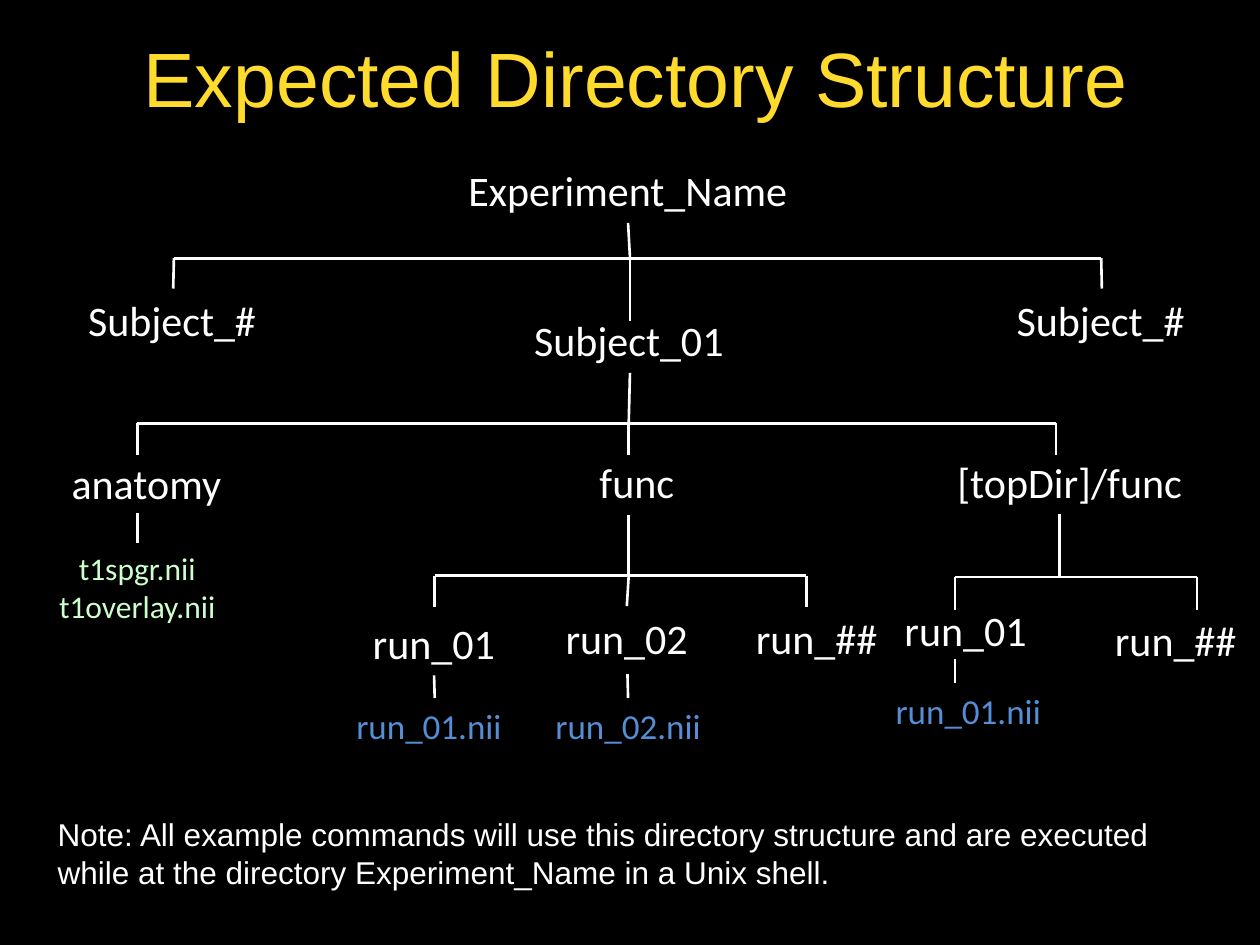
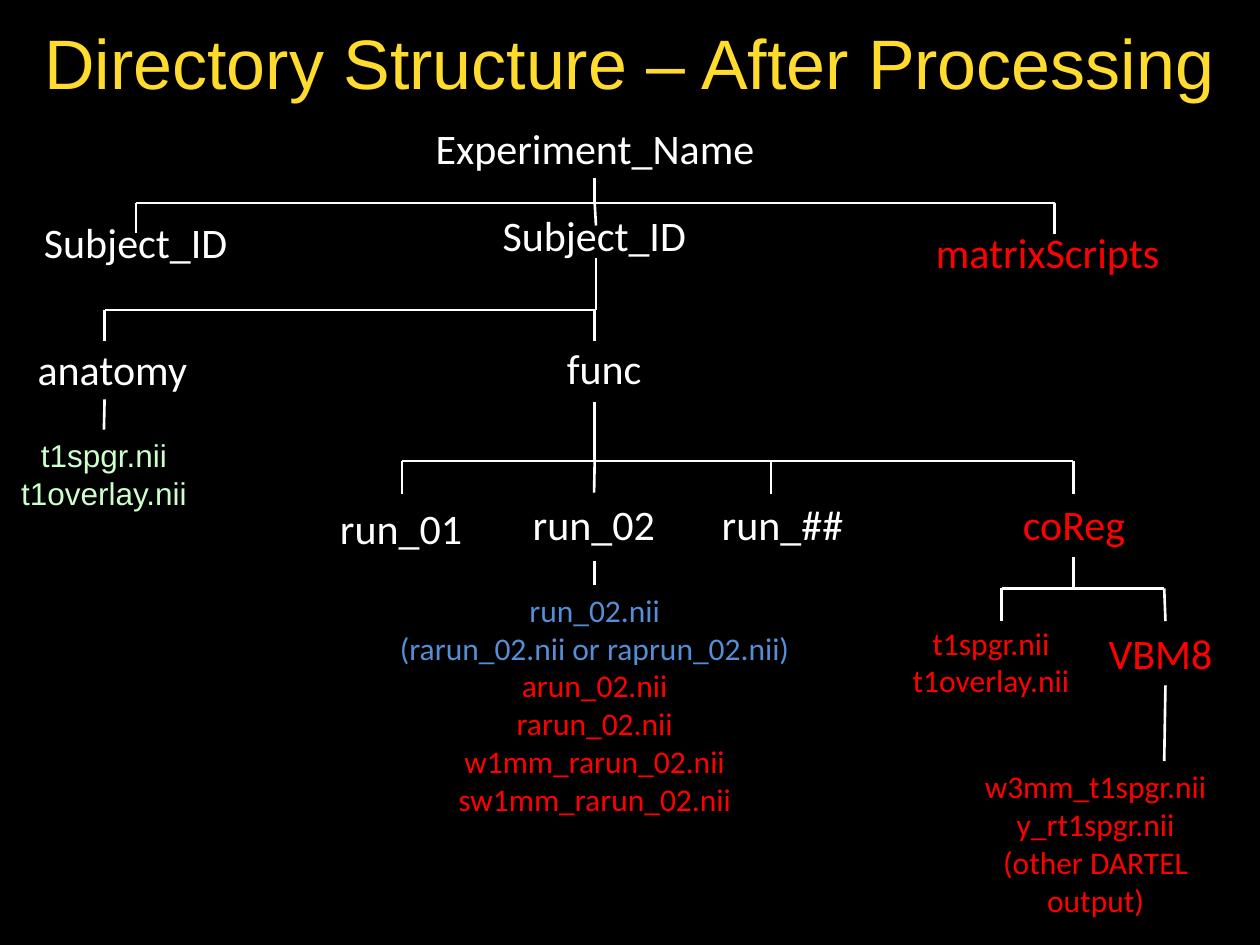
from itertools import cycle

from lxml import etree
from pptx import Presentation
from pptx.dml.color import RGBColor
from pptx.enum.shapes import MSO_CONNECTOR
from pptx.enum.text import MSO_ANCHOR, MSO_AUTO_SIZE, PP_ALIGN
from pptx.oxml.ns import qn
from pptx.util import Inches, Pt

STRAIGHT = MSO_CONNECTOR.STRAIGHT
LEFT, CENTER = PP_ALIGN.LEFT, PP_ALIGN.CENTER
TOP, MIDDLE = MSO_ANCHOR.TOP, MSO_ANCHOR.MIDDLE
NO_FIT, GROW = MSO_AUTO_SIZE.NONE, MSO_AUTO_SIZE.SHAPE_TO_FIT_TEXT

COLORS = {
    "black": "000000",
    "yellow": "FFDB2D",
    "white": "FFFFFF",
    "green": "CCFFCC",
    "blue": "558ED5",
    "red": "FF0000",
}
JOIN_DISTANCE = Inches(0.02)

# Formats of the labels
FOLDER = {}
NEW_FOLDER = {"colors": ["red"]}
ANATOMY_FILES = {"size": 18, "colors": ["green"], "align": CENTER}
RUN_FILE = {"size": 20, "colors": ["blue"], "align": CENTER}
NEW_FILES = {"size": 18, "colors": ["red"], "align": CENTER}
RUN_FILES = {**NEW_FILES, "colors": ["blue"] * 2 + ["red"] * 4}

# Labels: text, left, top, width, format
# Branches: trunk x, trunk top, bar y, drops as (x, bottom)
# Links: x, top, bottom
SLIDES = [
    {
        "title": ("Expected Directory Structure", 1.02, 0.17, 8.06, 44),
        "labels": [
            ("Experiment_Name", 3.62, 1.26, 2.73, FOLDER),
            ("Subject_#", 0.6, 2.29, 1.55, FOLDER),
            ("Subject_01", 4.14, 2.45, 1.72, FOLDER),
            ("Subject_#", 7.97, 2.29, 1.55, FOLDER),
            ("anatomy", 0.47, 3.58, 1.4, FOLDER),
            ("func", 4.66, 3.57, 0.8, FOLDER),
            ("[topDir]/func", 7.5, 3.57, 2, FOLDER),
            ("t1spgr.nii\nt1overlay.nii", 0.36, 4.31, 1.46, ANATOMY_FILES),
            ("run_01", 2.86, 4.85, 1.17, FOLDER),
            ("run_02", 4.39, 4.81, 1.17, FOLDER),
            ("run_##", 5.9, 4.81, 1.17, FOLDER),
            ("run_01", 7.08, 4.75, 1.17, FOLDER),
            ("run_##", 8.75, 4.83, 1.17, FOLDER),
            ("run_01.nii", 2.72, 5.54, 1.37, RUN_FILE),
            ("run_02.nii", 4.3, 5.54, 1.37, RUN_FILE),
            ("run_01.nii", 7, 5.42, 1.37, RUN_FILE),
            ("Note: All example commands will use this directory structure and are "
             "executed while at the directory Experiment_Name in a Unix shell.",
             0.36, 6.42, 9.15,
             {"size": 18, "font": "Arial", "wrap": True, "height": 0.71}),
        ],
        "branches": [
            (5, 1.77, 2.05, [(1.38, 2.29), (5, 2.55), (8.74, 2.29)]),
            (4.99, 2.95, 3.36, [(1.09, 3.61), (4.99, 3.61), (8.38, 3.61)]),
            (4.99, 4.09, 4.57, [(3.45, 4.82), (4.99, 4.82), (6.4, 4.82)]),
            (8.41, 4.08, 4.58, [(7.58, 4.84), (9.5, 4.84)]),
        ],
        "links": [(1.09, 4.07, 4.32), (3.45, 5.35, 5.54),
                  (4.98, 5.35, 5.54), (7.58, 5.23, 5.42)],
    },
    {
        "title": ("Directory Structure – After Processing", 0.2, 0.05, 9.59, 40),
        "labels": [
            ("Experiment_Name", 3.36, 0.92, 2.73, FOLDER),
            ("Subject_ID", 0.25, 1.67, 1.66, FOLDER),
            ("Subject_ID", 3.89, 1.61, 1.66, FOLDER),
            ("matrixScripts", 7.33, 1.75, 2.07, NEW_FOLDER),
            ("anatomy", 0.2, 2.68, 1.4, FOLDER),
            ("func", 4.4, 2.67, 0.8, FOLDER),
            ("t1spgr.nii\nt1overlay.nii", 0.06, 3.41, 1.53,
             {**ANATOMY_FILES, "font": "Arial"}),
            ("run_01", 2.6, 3.94, 1.17, FOLDER),
            ("run_02", 4.13, 3.91, 1.17, FOLDER),
            ("run_##", 5.63, 3.91, 1.17, FOLDER),
            ("coReg", 8.02, 3.91, 1.1, NEW_FOLDER),
            ("run_02.nii\n(rarun_02.nii or raprun_02.nii)\narun_02.nii\n"
             "rarun_02.nii\nw1mm_rarun_02.nii\nsw1mm_rarun_02.nii",
             3.07, 4.64, 3.3, RUN_FILES),
            ("t1spgr.nii\nt1overlay.nii", 7.13, 4.9, 1.47, NEW_FILES),
            ("VBM8", 8.7, 4.93, 1.1, NEW_FOLDER),
            ("w3mm_t1spgr.nii\ny_rt1spgr.nii\n(other DARTEL output)",
             7.47, 6.04, 2.45, {**NEW_FILES, "wrap": True, "height": 1.3}),
        ],
        "branches": [
            (4.72, 1.41, 1.61, [(1.08, 1.85), (4.73, 1.79), (8.37, 1.86)]),
            (4.73, 2.05, 2.46, [(0.83, 2.71), (4.72, 2.71)]),
            (4.72, 3.19, 3.66, [(3.19, 3.92), (4.72, 3.92), (6.12, 3.92), (8.52, 3.92)]),
            (8.52, 4.42, 4.67, [(7.95, 4.93), (9.24, 4.93)]),
        ],
        "links": [(0.83, 3.17, 3.42), (4.72, 4.45, 4.64), (9.24, 5.44, 6.04)],
    },
]


def add_text(slide, text, left, top, width, shape=None, height=None, size=24,
             font="Calibri", colors=("white",), align=LEFT, anchor=TOP,
             wrap=False, fit=GROW):
    """Write text into a placeholder or a new text box, one paragraph a line."""
    lines = text.split("\n")
    if height is None:
        height = round(len(lines) * size * 1.22 / 72 + 0.1, 2)
    box = [Inches(length) for length in (left, top, width, height)]
    if shape is None:
        shape = slide.shapes.add_textbox(*box)
    shape.left, shape.top, shape.width, shape.height = box
    frame = shape.text_frame
    frame.text = text
    frame.word_wrap = wrap
    frame.auto_size = fit
    frame.vertical_anchor = anchor
    for paragraph, color in zip(frame.paragraphs, cycle(colors)):
        paragraph.alignment = align
        run_font = paragraph.runs[0].font
        run_font.size = Pt(size)
        run_font.name = font
        run_font.color.rgb = RGBColor.from_string(COLORS[color])
    return shape


def add_line(slide, start, end, labels):
    """Draw a white line and join its ends to labels whose side they meet."""
    points = [(Inches(x), Inches(y)) for x, y in (start, end)]
    line = slide.shapes.add_connector(STRAIGHT, *points[0], *points[1])
    line.line.color.rgb = RGBColor.from_string(COLORS["white"])
    line.line.width = Pt(1.5)
    etree.SubElement(line._element.spPr, qn("a:effectLst"))
    for (x, y), connect in zip(points, (line.begin_connect, line.end_connect)):
        for label in labels:
            middle = label.left + label.width // 2
            for site, side in ((0, label.top), (2, label.top + label.height)):
                if max(abs(x - middle), abs(y - side)) < JOIN_DISTANCE:
                    connect(label, site)


presentation = Presentation()
presentation.slide_width = Inches(10)
presentation.slide_height = Inches(7.5)

# Shared black background
background = presentation.slide_master.background.fill
background.solid()
background.fore_color.rgb = RGBColor.from_string(COLORS["black"])

for content in SLIDES:
    slide = presentation.slides.add_slide(presentation.slide_layouts[0])
    subtitle = slide.placeholders[1]._element
    subtitle.getparent().remove(subtitle)

    # Title
    title, left, top, width, size = content["title"]
    add_text(slide, title, left, top, width, shape=slide.shapes.title, height=0.88,
             size=size, font="Arial", colors=["yellow"], align=CENTER,
             anchor=MIDDLE, wrap=True, fit=NO_FIT)

    # Folder and file names
    labels = [add_text(slide, text, left, top, width, **text_format)
              for text, left, top, width, text_format in content["labels"]]

    # Branches: trunk, bar and drops
    for trunk, top, bar, drops in content["branches"]:
        add_line(slide, (trunk, top), (trunk, bar), labels)
        add_line(slide, (drops[0][0], bar), (drops[-1][0], bar), labels)
        for x, bottom in drops:
            add_line(slide, (x, bar), (x, bottom), labels)

    # Links from a folder to its files
    for x, top, bottom in content["links"]:
        add_line(slide, (x, top), (x, bottom), labels)

presentation.save("out.pptx")
